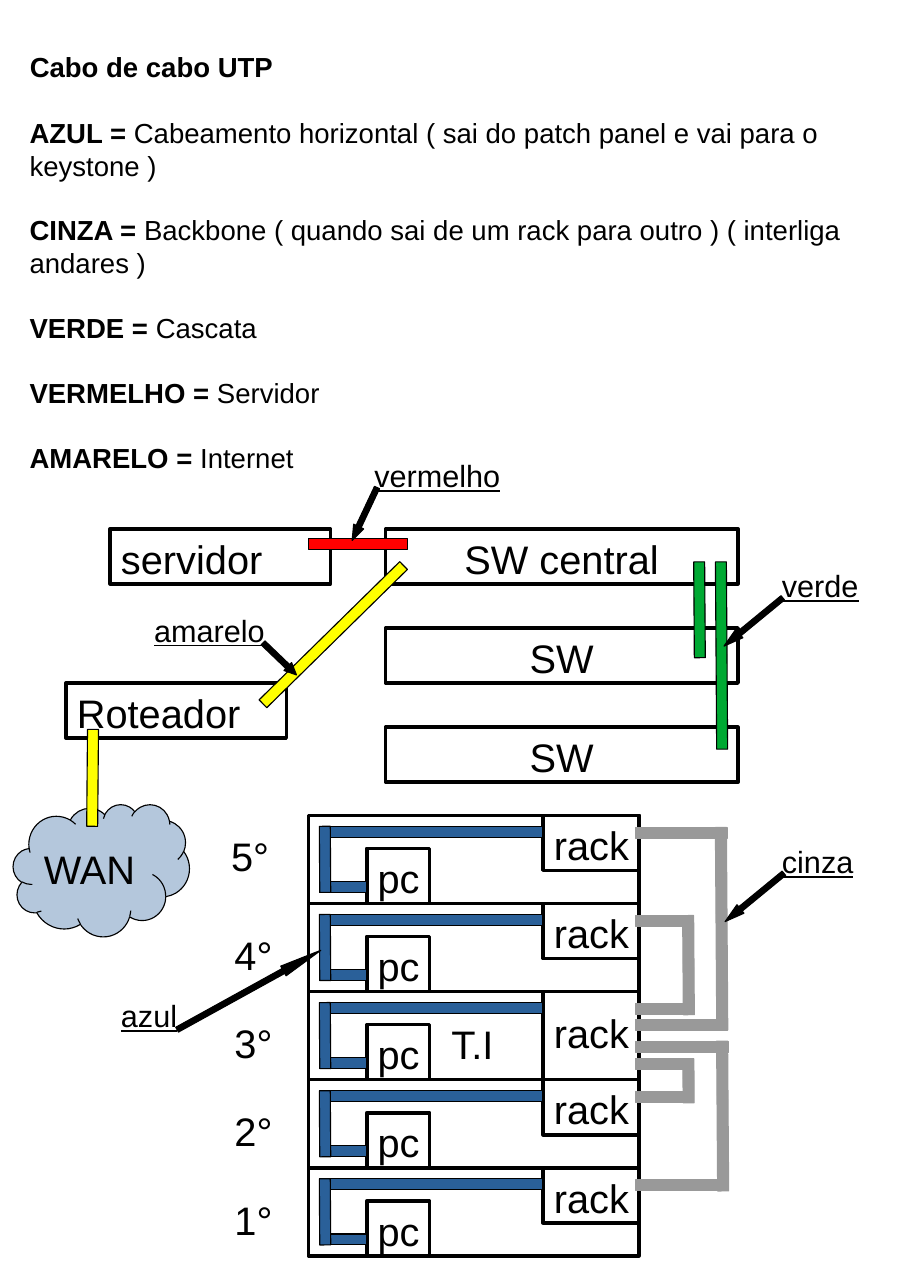
"""Build a page explaining UTP cable colours with a network and building diagram."""
from dataclasses import dataclass

import pptx
import pptx.dml.color
import pptx.enum.shapes
import pptx.enum.text
import pptx.util

RGBColor = pptx.dml.color.RGBColor
Shape = pptx.enum.shapes.MSO_SHAPE
Align = pptx.enum.text.PP_ALIGN
Pt = pptx.util.Pt

BLACK = RGBColor(0x00, 0x00, 0x00)
BLUE = RGBColor(0x2A, 0x60, 0x99)
GRAY = RGBColor(0x99, 0x99, 0x99)
GREEN = RGBColor(0x00, 0xA9, 0x33)
RED = RGBColor(0xFF, 0x00, 0x00)
YELLOW = RGBColor(0xFF, 0xFF, 0x00)
CLOUD_BLUE = RGBColor(0xB4, 0xC7, 0xDC)

GRID_CM = 2.54
CABLE = 0.1
UPRIGHT = 89.6
FLOOR_TOP = 7.4
FLOOR_HEIGHT = 0.8
BUILDING_LEFT = 2.8
RACK_LEFT = 4.93
PC_LEFT = 3.33
BACKBONE_LEFT = 5.77


@dataclass(frozen=True)
class Area:
    left: float
    top: float
    width: float
    height: float


@dataclass(frozen=True)
class Device:
    name: str
    area: Area
    align: Align = Align.LEFT
    inset_top: float = 0.05


@dataclass(frozen=True)
class Label:
    words: str
    area: Area
    size: int = 26
    underline: bool = False


@dataclass(frozen=True)
class Floor:
    name: str
    name_left: float = 2.03
    name_drop: float = 0.2
    rack_height: float = 0.5
    rack_inset: float = 0.05


@dataclass(frozen=True)
class Backbone:
    upper: float
    lower: float
    reach: float


@dataclass(frozen=True)
class Pointer:
    area: Area
    angle: float


LEGEND = [
    ("AZUL = ", "Cabeamento horizontal ( sai do patch panel e vai para o keystone )"),
    ("CINZA = ", "Backbone ( quando sai de um rack para outro ) ( interliga andares )"),
    ("VERDE = ", "Cascata"),
    ("VERMELHO = ", "Servidor"),
    ("AMARELO = ", "Internet"),
]
DEVICES = [
    Device("SW central", Area(3.5, 4.8, 3.2, 0.5), Align.CENTER),
    Device("SW", Area(3.5, 5.7, 3.2, 0.5), Align.CENTER),
    Device("SW", Area(3.5, 6.6, 3.2, 0.5), Align.CENTER),
    Device("servidor", Area(1, 4.8, 2, 0.5)),
    Device("Roteador", Area(0.6, 6.2, 2, 0.5)),
]
FLOORS = [
    Floor("5°", name_left=2, name_drop=0.1),
    Floor("4°"),
    Floor("3°", rack_height=0.8, rack_inset=0.16),
    Floor("2°"),
    Floor("1°"),
]
BACKBONES = [
    Backbone(7.51, 9.25, 0.83),
    Backbone(8.31, 9.11, 0.53),
    Backbone(9.61, 9.91, 0.53),
    Backbone(9.45, 10.71, 0.84),
]
LABELS = [
    Label("T.I", Area(4, 9.21, 1.17, 0.5)),
    Label("WAN", Area(0.3, 7.62, 1.3, 0.6)),
    Label("amarelo", Area(1.3, 5.5, 1.3, 0.41), 20, True),
    Label("vermelho", Area(3.3, 4.1, 1.5, 0.5), 20, True),
    Label("verde", Area(7, 5.1, 1.5, 0.5), 20, True),
    Label("cinza", Area(7, 7.6, 1, 0.41), 20, True),
    Label("azul", Area(1, 9, 0.8, 0.41), 20, True),
]
POINTERS = [
    Pointer(Area(2.49, 5.77, 0.1, 0.42), 313.8),
    Pointer(Area(3.26, 4.4, 0.1, 0.53), 25.2),
    Pointer(Area(6.79, 5.3, 0.1, 0.69), 50.6),
    Pointer(Area(6.8, 7.8, 0.1, 0.69), 50.6),
    Pointer(Area(2.21, 8.24, 0.1, 1.49), 241.1),
]


def grid(units: float) -> pptx.util.Length:
    return pptx.util.Cm(units * GRID_CM)


def place(area: Area) -> tuple:
    return grid(area.left), grid(area.top), grid(area.width), grid(area.height)


def prepare(box, inset_top: float = 0.05, inset_right: float = 0.1):
    frame = box.text_frame
    frame.word_wrap = True
    frame.vertical_anchor = pptx.enum.text.MSO_ANCHOR.TOP
    frame.margin_left, frame.margin_right = grid(0.1), grid(inset_right)
    frame.margin_top, frame.margin_bottom = grid(inset_top), 0
    return frame


def write(para, words: str, size: int, bold: bool = False, underline: bool = False) -> None:
    span = para.add_run()
    span.text = words
    span.font.name, span.font.size = "Arial", Pt(size)
    span.font.bold, span.font.underline = bold, underline
    span.font.color.rgb = BLACK


def draw_shape(page, kind: Shape, area: Area, fill: RGBColor | None = None,
               line: RGBColor = BLACK, weight: float = 0, angle: float = 0):
    shape = page.shapes.add_shape(kind, *place(area))
    shape.shadow.inherit = False
    if fill is None:
        shape.fill.background()
    else:
        shape.fill.solid()
        shape.fill.fore_color.rgb = fill
    shape.line.color.rgb, shape.line.width = line, Pt(weight)
    shape.rotation = angle
    return shape


def draw_device(page, device: Device) -> None:
    box = draw_shape(page, Shape.RECTANGLE, device.area, weight=2.3)
    centred = device.align == Align.CENTER
    para = prepare(box, device.inset_top, 0.1 if centred else 0).paragraphs[0]
    para.alignment = device.align
    write(para, device.name, 26)


def draw_label(page, label: Label) -> None:
    para = prepare(page.shapes.add_textbox(*place(label.area))).paragraphs[0]
    write(para, label.words, label.size, underline=label.underline)


def draw_cable(page, left: float, top: float, length: float, color: RGBColor,
               angle: float = 0) -> None:
    line = GRAY if color == GRAY else BLACK
    draw_shape(page, Shape.RECTANGLE, Area(left, top, length, CABLE), color, line, angle=angle)


def draw_riser(page, centre: float, top: float, length: float, color: RGBColor,
               angle: float = UPRIGHT) -> None:
    draw_cable(page, centre - length / 2, top + (length - CABLE) / 2, length, color, angle)


def draw_floor(page, floor: Floor, top: float) -> None:
    draw_shape(page, Shape.RECTANGLE, Area(BUILDING_LEFT, top, 3, FLOOR_HEIGHT), weight=2.3)
    rack = Area(RACK_LEFT, top, 0.87, floor.rack_height)
    draw_device(page, Device("rack", rack, inset_top=floor.rack_inset))
    draw_device(page, Device("pc", Area(PC_LEFT, top + 0.3, 0.57, 0.5)))
    cable_left = BUILDING_LEFT + CABLE
    draw_cable(page, cable_left, top + 0.1, RACK_LEFT - cable_left, BLUE)
    draw_cable(page, cable_left, top + 0.6, PC_LEFT - cable_left, BLUE)
    draw_riser(page, cable_left + CABLE / 2, top + 0.1, 0.6, BLUE)
    draw_label(page, Label(floor.name, Area(floor.name_left, top + floor.name_drop, 0.77, 0.5)))


def draw_backbone(page, link: Backbone) -> None:
    for top in (link.upper, link.lower):
        draw_cable(page, BACKBONE_LEFT, top, link.reach, GRAY)
    draw_riser(page, BACKBONE_LEFT + link.reach - CABLE / 2, link.upper,
               link.lower - link.upper + CABLE, GRAY)


def draw_legend(page) -> None:
    title = page.shapes.title
    title.left, title.top, title.width, title.height = place(Area(0.17, 0.4, 2.63, 0.38))
    para = prepare(title).paragraphs[0]
    para.alignment = Align.LEFT
    write(para, "Cabo de cabo UTP", 18, bold=True)
    frame = prepare(page.shapes.add_textbox(*place(Area(0.17, 1, 8.1, 3.18))))
    for index, (color_name, meaning) in enumerate(LEGEND):
        para = frame.add_paragraph() if index else frame.paragraphs[0]
        if index:
            para.space_before = Pt(20.7)
        write(para, color_name, 18, bold=True)
        write(para, meaning, 18)


def main() -> None:
    deck = pptx.Presentation()
    deck.slide_width, deck.slide_height = grid(8.27), grid(11.69)
    page = deck.slides.add_slide(deck.slide_layouts[5])
    draw_legend(page)
    for device in DEVICES:
        draw_device(page, device)
    draw_riser(page, 6.35, 5.1, 0.87, GREEN)
    draw_riser(page, 6.55, 5.1, 1.7, GREEN)
    draw_cable(page, 2.8, 4.89, 0.9, RED)
    draw_cable(page, 2.13, 5.71, 1.79, YELLOW, 135.5)
    for index, floor in enumerate(FLOORS):
        draw_floor(page, floor, FLOOR_TOP + index * FLOOR_HEIGHT)
    for link in BACKBONES:
        draw_backbone(page, link)
    draw_shape(page, Shape.CLOUD, Area(0.12, 7.3, 1.6, 1.2), CLOUD_BLUE)
    for label in LABELS:
        draw_label(page, label)
    for pointer in POINTERS:
        arrow = draw_shape(page, Shape.DOWN_ARROW, pointer.area, BLACK, angle=pointer.angle)
        arrow.adjustments[1] = 0.26 * pointer.area.height / pointer.area.width
    draw_riser(page, 0.84, 6.62, 0.88, YELLOW, 90.5)
    deck.save("out.pptx")


if __name__ == "__main__":
    main()
